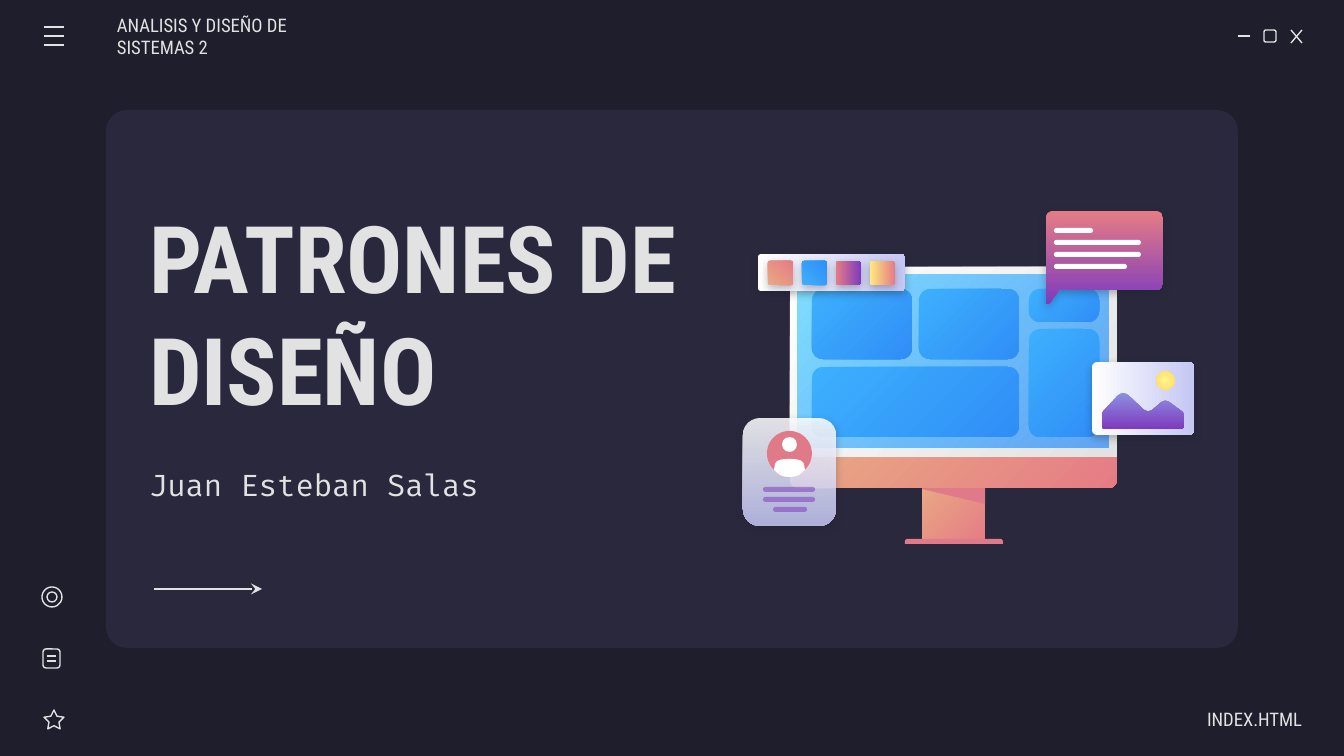
from lxml.etree import SubElement
from pptx import Presentation
from pptx.dml.color import RGBColor
from pptx.enum.shapes import MSO_CONNECTOR, MSO_SHAPE as SHAPE
from pptx.enum.text import MSO_ANCHOR, MSO_AUTO_SIZE, PP_ALIGN as ALIGN
from pptx.oxml.ns import qn
from pptx.util import Emu, Pt

SCALE = 914400 / 134.4
WIDTH, HEIGHT = 1344, 756

COLORS = {
    "night": "1E1E2C", "panel": "29283D", "text": "E2E2E2", "white": "FFFFFF",
    "lavender": "C5C7F4", "purple": "7E3BBE", "violet": "8D90E1",
    "rose": "E07A88", "coral": "E57C85", "orange": "E9A984",
    "sky": "80DFFF", "azure": "318FFA", "cyan": "3DB0FD", "blue": "308EF7",
    "lemon": "FFF68E", "gold": "FFD966", "yellow": "FFEA7D",
}
GRADIENTS = {
    "sunset": (("orange", 100), ("coral", 100), 45),
    "frame": (("white", 100), ("text", 100), 45),
    "screen": (("sky", 100), ("azure", 72), 45),
    "tile": (("cyan", 100), ("blue", 100), 45),
    "dusk": (("coral", 100), ("purple", 100), 90),
    "glass": (("white", 86), ("lavender", 86), 90),
    "paper": (("white", 100), ("lavender", 100), 90),
    "hills": (("violet", 100), ("purple", 100), 90),
    "flame": (("yellow", 100), ("coral", 100), 90),
    "sun": (("lemon", 100), ("gold", 100), None),
}
KINDS = {
    "rect": SHAPE.RECTANGLE, "round": SHAPE.ROUNDED_RECTANGLE,
    "ends": SHAPE.ROUND_2_SAME_RECTANGLE, "oval": SHAPE.OVAL, "star": SHAPE.STAR_5_POINT,
}

TITLE = ("PATRONES DE DISEÑO", (136, 194, 601, 237), (13, 13), ALIGN.LEFT,
         {"name": "Roboto Condensed", "size": Pt(50), "bold": True})
SMALL = {"name": "Roboto Condensed", "size": Pt(10), "bold": False}
LABELS = [
    ("Juan Esteban Salas", (136, 454, 435, 62), (13, 13), ALIGN.LEFT,
     {"name": "Fira Code", "size": Pt(16), "bold": False}),
    ("ANALISIS Y DISEÑO DE SISTEMAS 2", (117, 16, 254, 40), (0, 13), ALIGN.LEFT, SMALL),
    ("INDEX.HTML", (1145, 699, 157, 40), (13, 0), ALIGN.RIGHT, SMALL),
]

TILES = [(812, 289, 100, 70), (812, 367, 207, 70), (919, 289, 100, 70),
         (1029, 289, 70, 33), (1029, 329, 70, 108)]
BUBBLE = [(1046, 211, 8), (1163, 211, 8), (1163, 290, 8), (1059, 290, 0),
          (1049, 304, 3), (1046, 304, 2)]
BUBBLE_LINES = [39, 87, 87, 73]
SHOULDERS = [(774, 470, 0), (776, 459, 12), (803, 459, 12), (805, 470, 0),
             (797, 477, 10), (782, 477, 10)]
CARD_LINES = [(763, 52), (763, 52), (773, 34)]
MOUNTAINS = [(1102, 429, 4), (1102, 413, 3), (1123, 390, 8), (1148, 414, 8),
             (1165, 399, 6), (1184, 413, 3), (1184, 429, 4)]
STAND_SHADE = [(922, 485, 0), (922, 489, 0), (985, 504, 0), (985, 485, 0)]
SWATCHES = ["sunset", "tile", "dusk", "flame"]

PIECES = [
    ("rect", (922, 485, 63, 58), "sunset", 0, ""),
    ("ends", (905, 539, 98, 5), "rose", 4, ""),
    ("free", STAND_SHADE, "rose", 0, ""),
    ("ends", (790, 456, 327, 32), "sunset", 8, "bottom"),
    ("ends", (790, 267, 327, 190), "frame", 8, ""),
    ("rect", (798, 275, 310, 173), "screen", 0, ""),
    *[("round", tile, "tile", 11, "") for tile in TILES],
    ("free", BUBBLE, "dusk", 0, "shadow"),
    *[("round", (1054, 228 + 12 * i, w, 5), "white", 2.5, "") for i, w in enumerate(BUBBLE_LINES)],
    ("round", (743, 418, 93, 108), "glass", 17, "shadow"),
    ("oval", (767, 431, 45, 45), "rose", 0, ""),
    ("oval", (782, 437, 15, 15), "white", 0, ""),
    ("free", SHOULDERS, "white", 0, ""),
    *[("round", (x, 487 + 10 * i, w, 5), "purple", 2.5, "faded")
      for i, (x, w) in enumerate(CARD_LINES)],
    ("round", (1092, 362, 102, 73), "paper", 5, "shadow turned"),
    ("free", MOUNTAINS, "hills", 0, ""),
    ("oval", (1156, 371, 19, 19), "sun", 0, ""),
    ("round", (758, 254, 147, 37), "paper", 3, "shadow turned"),
    *[("round", (768 + 34 * i, 261, 25, 24), fill, 2, "shadow turned")
      for i, fill in enumerate(SWATCHES)],
    ("round", (1264, 30, 12, 12), None, 2, ""),
    ("star", (44, 710, 20, 19), None, 0, ""),
    ("round", (43, 649, 17, 19), None, 3, ""),
    ("oval", (42, 587, 20, 20), None, 0, ""),
    ("oval", (47, 592, 10, 10), None, 0, ""),
]
STROKES = [
    (1238, 36, 1250, 36), (1291, 30, 1302, 43), (1302, 30, 1291, 43),
    *[(44, 27 + 9 * i, 64, 27 + 9 * i) for i in range(3)],
    (47, 656, 56, 656), (47, 661, 56, 661),
]
ARROW = (154, 589, 262, 589)


def px(*values):
    return [Emu(round(value * SCALE)) for value in values]


def rgb(name):
    return RGBColor.from_string(COLORS[name])


def fade(owner, percent):
    for color in owner.iter(qn("a:srgbClr")):
        SubElement(color, qn("a:alpha"), val=str(percent * 1000))


def rounded(corners):
    points = []
    for i, (x, y, radius) in enumerate(corners):
        ends = []
        for near in (corners[i - 1], corners[(i + 1) % len(corners)]):
            dx, dy = near[0] - x, near[1] - y
            length = (dx * dx + dy * dy) ** 0.5
            part = min(radius / length, 0.5)
            ends.append((x + dx * part, y + dy * part))
        (ax, ay), (bx, by) = ends
        steps = [n / 6 for n in range(7)] if radius else [0]
        points += [px((1 - t) ** 2 * ax + 2 * t * (1 - t) * x + t * t * bx,
                      (1 - t) ** 2 * ay + 2 * t * (1 - t) * y + t * t * by) for t in steps]
    return points


def paint(shape, fill):
    if fill is None:
        shape.fill.background()
    elif fill in GRADIENTS:
        *stops, angle = GRADIENTS[fill]
        shape.fill.gradient()
        for stop, (name, opacity), place in zip(shape.fill.gradient_stops, stops, (0, 1)):
            stop.color.rgb, stop.position = rgb(name), place
            if opacity < 100:
                fade(stop.color._xFill if hasattr(stop.color, "_xFill") else stop._gs, opacity)
        if angle is None:
            linear = shape._element.spPr.find(".//" + qn("a:lin"))
            radial = SubElement(linear.getparent(), qn("a:path"), {"path": "circle"})
            SubElement(radial, qn("a:fillToRect"), dict.fromkeys("ltrb", "50000"))
            linear.getparent().remove(linear)
        else:
            shape.fill.gradient_angle = 360 - angle
    else:
        shape.fill.solid()
        shape.fill.fore_color.rgb = rgb(fill)


def add_piece(page, kind, place, fill, radius, extras):
    if kind == "free":
        start, *rest = rounded(place)
        builder = page.shapes.build_freeform(*start)
        builder.add_line_segments(rest, close=True)
        shape = builder.convert_to_shape()
    else:
        x, y, w, h = place
        if "turned" in extras:
            x, y, w, h = x + (w - h) / 2, y + (h - w) / 2, h, w
        shape = page.shapes.add_shape(KINDS[kind], *px(x, y, w, h))
        if "turned" in extras:
            shape.rotation = 270
        if kind == "star":
            shape.adjustments[0] = 0.25
        if radius:
            shape.adjustments[0] = radius / min(w, h)
        if "bottom" in extras:
            shape.adjustments[0], shape.adjustments[1] = 0, radius / min(w, h)
    paint(shape, fill)
    if "faded" in extras:
        fade(shape._element.spPr, 54)
    if fill:
        shape.line.fill.background()
    else:
        shape.line.color.rgb, shape.line.width = rgb("text"), Pt(0.75)
    shape.shadow.inherit = False
    if "shadow" in extras:
        effects = shape._element.spPr.find(qn("a:effectLst"))
        cast = SubElement(effects, qn("a:outerShdw"), blurRad=str(Pt(4.5)), dist=str(Pt(1.5)),
                          dir="5400000", algn="bl", rotWithShape="0")
        SubElement(cast, qn("a:srgbClr"), val=COLORS["night"])
        fade(cast, 30)
    return shape


def add_stroke(page, ends):
    stroke = page.shapes.add_connector(MSO_CONNECTOR.STRAIGHT, *px(*ends))
    stroke.line.color.rgb, stroke.line.width = rgb("text"), Pt(0.75)
    SubElement(stroke._element.spPr, qn("a:effectLst"))
    return stroke


def write(box, text, place, insets, align, style):
    box.left, box.top, box.width, box.height = px(*place)
    frame = box.text_frame
    frame.word_wrap, frame.auto_size = True, MSO_AUTO_SIZE.NONE
    frame.vertical_anchor = MSO_ANCHOR.MIDDLE
    frame.margin_left, frame.margin_right, frame.margin_top, frame.margin_bottom = px(*insets, 13, 13)
    para = frame.paragraphs[0]
    para.alignment = align
    span = para.add_run()
    span.text = text
    span.font.color.rgb = rgb("text")
    for key, value in style.items():
        setattr(span.font, key, value)


def main():
    deck = Presentation()
    deck.slide_width, deck.slide_height = px(WIDTH, HEIGHT)
    page = deck.slides.add_slide(deck.slide_layouts[5])
    page.background.fill.solid()
    page.background.fill.fore_color.rgb = rgb("night")
    title = page.shapes.title
    panel = add_piece(page, "round", (106, 110, 1132, 538), "panel", 21, "")
    title._element.addprevious(panel._element)
    write(title, *TITLE)
    for label in LABELS:
        write(page.shapes.add_textbox(0, 0, 0, 0), *label)
    for piece in PIECES:
        add_piece(page, *piece)
    for ends in STROKES:
        add_stroke(page, ends)
    arrow = add_stroke(page, ARROW)
    SubElement(arrow.line._get_or_add_ln(), qn("a:tailEnd"), type="stealth")
    deck.save("out.pptx")


if __name__ == "__main__":
    main()
